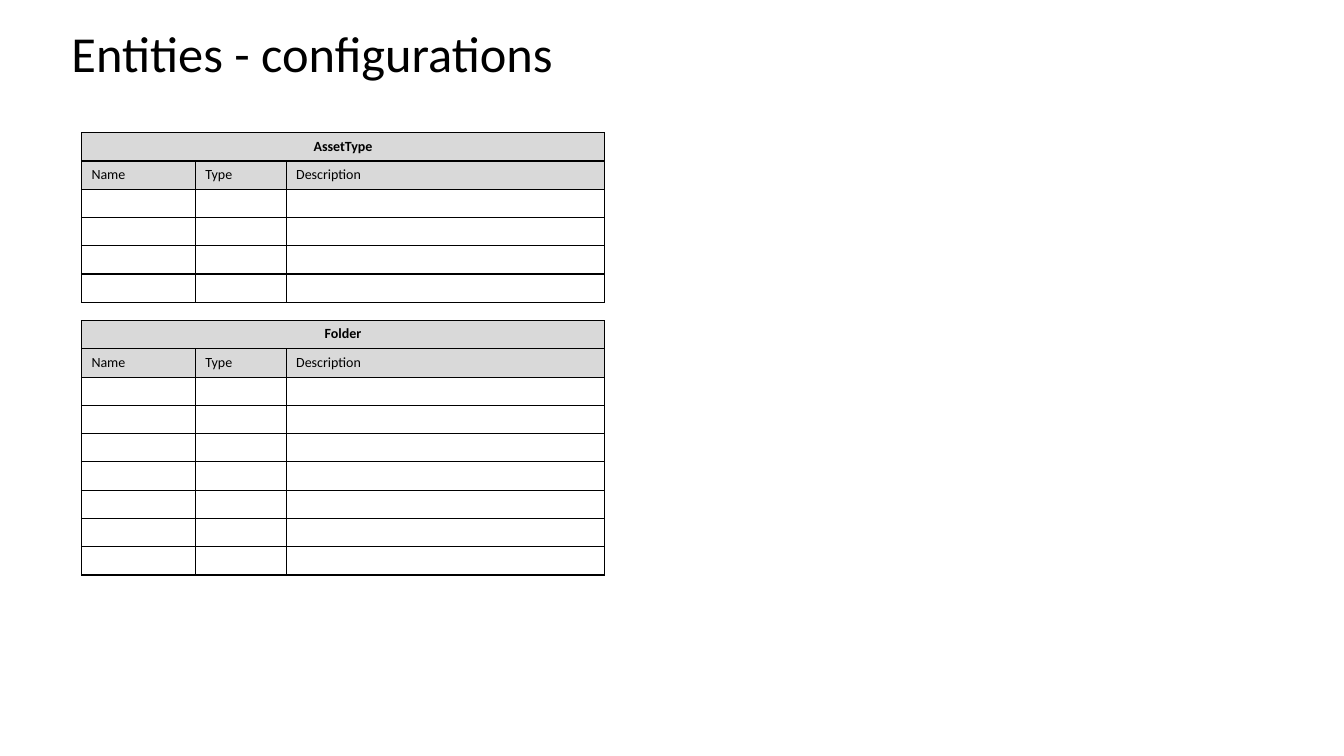
from lxml import etree
from pptx import Presentation
from pptx.dml.color import RGBColor
from pptx.enum import text
from pptx.oxml import ns
from pptx.util import Pt

BLACK = RGBColor(0x00, 0x00, 0x00)
GREY = RGBColor(0xD9, 0xD9, 0xD9)
COLUMN_WIDTHS = (81.4, 64.8, 227.5)
HEADINGS = ("Name", "Type", "Description")
ROW_HEIGHT = 20.2
TABLE_LEFT = 58.2


class EntitySlide:
    """Draws titles and entity tables on one slide in a shared style."""

    font = "Calibri"
    title_size = 36
    table_size = 10
    border_width = 1

    def __init__(self, slide):
        self.slide = slide

    def add_words(self, paragraph, words, size, bold=False):
        run = paragraph.add_run()
        run.text = words
        run.font.name = self.font
        run.font.size = Pt(size)
        run.font.bold = bold
        run.font.color.rgb = BLACK

    def title(self, words, left, top, width, height):
        box = self.slide.shapes.add_textbox(Pt(left), Pt(top), Pt(width), Pt(height))
        frame = box.text_frame
        frame.word_wrap = True
        frame.vertical_anchor = text.MSO_ANCHOR.MIDDLE
        paragraph = frame.paragraphs[0]
        paragraph.line_spacing = 0.9
        self.add_words(paragraph, words, self.title_size)

    def border(self, cell):
        properties = cell._tc.get_or_add_tcPr()
        for side in ("lnL", "lnR", "lnT", "lnB"):
            line = etree.SubElement(properties, ns.qn(f"a:{side}"), w=str(Pt(self.border_width)))
            fill = etree.SubElement(line, ns.qn("a:solidFill"))
            etree.SubElement(fill, ns.qn("a:srgbClr"), val=str(BLACK))

    def cell(self, cell, words, header, title):
        self.border(cell)
        paragraph = cell.text_frame.paragraphs[0]
        if header:
            cell.fill.solid()
            cell.fill.fore_color.rgb = GREY
        else:
            cell.fill.background()
        if title:
            paragraph.alignment = text.PP_ALIGN.CENTER
        if words:
            self.add_words(paragraph, words, self.table_size, bold=title)
        else:
            etree.SubElement(paragraph._p, ns.qn("a:endParaRPr"), sz=str(self.table_size * 100))

    def entity_table(self, name, top, empty_rows):
        blank = ("",) * len(HEADINGS)
        rows = [(name, "", ""), HEADINGS] + [blank] * empty_rows
        frame = self.slide.shapes.add_table(
            len(rows), len(HEADINGS), Pt(TABLE_LEFT), Pt(top),
            Pt(sum(COLUMN_WIDTHS)), Pt(ROW_HEIGHT * len(rows)))
        table = frame.table
        table.first_row = table.horz_banding = False
        for column, width in zip(table.columns, COLUMN_WIDTHS):
            column.width = Pt(width)
        for row_number, row in enumerate(rows):
            table.rows[row_number].height = Pt(ROW_HEIGHT)
            for column_number, words in enumerate(row):
                self.cell(table.cell(row_number, column_number), words,
                          header=row_number < 2, title=row_number == 0)
        table.cell(0, 0).merge(table.cell(0, len(HEADINGS) - 1))


presentation = Presentation()
presentation.slide_width = Pt(960)
presentation.slide_height = Pt(540)
entities = EntitySlide(presentation.slides.add_slide(presentation.slide_layouts[6]))
entities.title("Entities - configurations", 44, -0.7, 872, 82)
entities.entity_table("AssetType", 94.8, 4)
entities.entity_table("Folder", 229, 7)
presentation.save("out.pptx")
